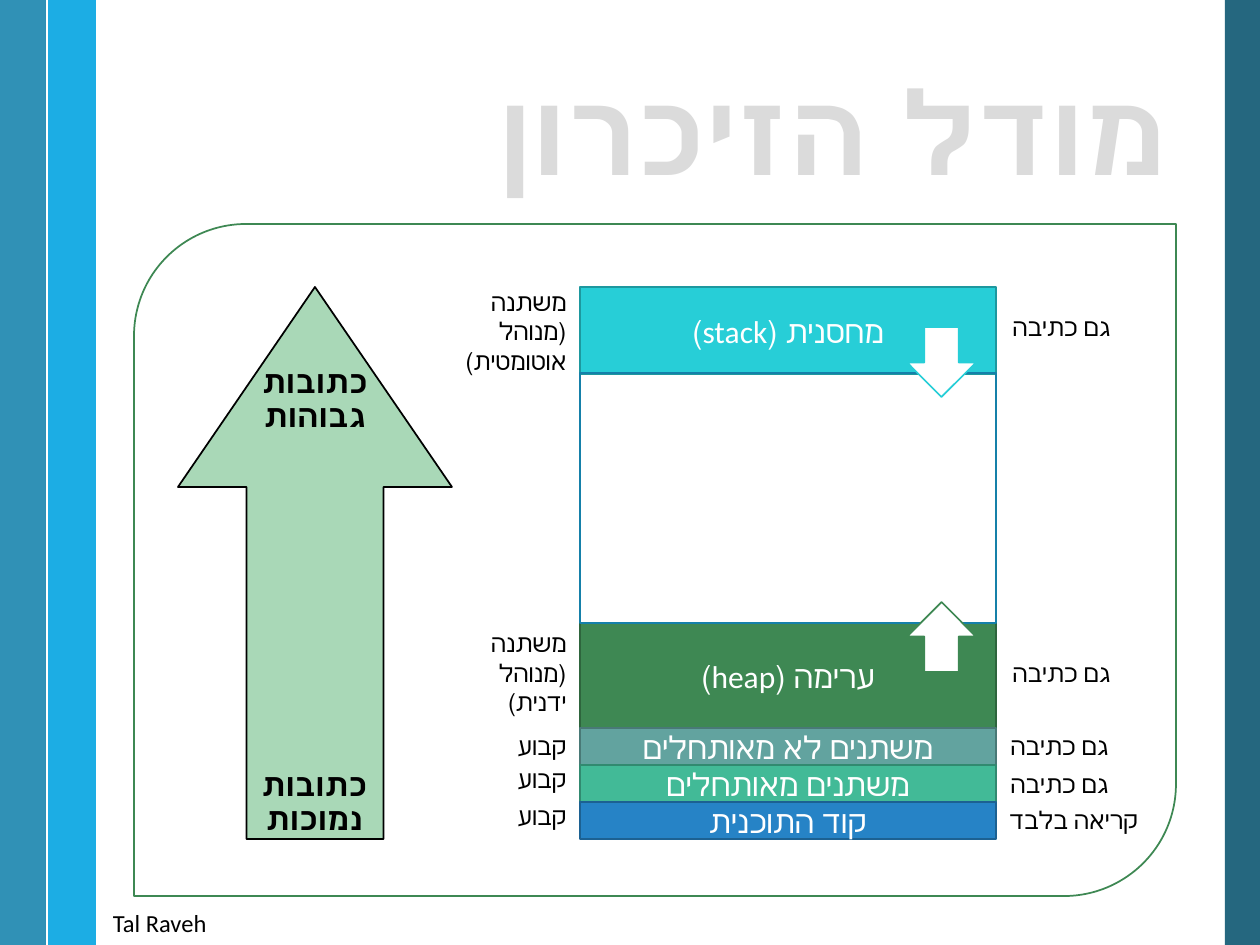
from lxml.etree import SubElement
from pptx import Presentation
from pptx.dml.color import RGBColor
from pptx.enum.shapes import MSO_CONNECTOR, MSO_SHAPE
from pptx.enum.text import MSO_ANCHOR, MSO_AUTO_SIZE, PP_ALIGN
from pptx.oxml.ns import qn
from pptx.util import Emu, Pt

SCALE = 914400 / 126
COLORS = {
    "white": "FFFFFF", "black": "000000", "title": "DBDBDB",
    "right_bar": "0E5772", "bright_bar": "1CADE4", "left_bar": "1482AC",
    "green": "3E8853", "green_edge": "2E653D", "pale_green": "A9D8B7",
    "cyan": "27CED7", "cyan_edge": "1D989F", "gray_teal": "62A39F",
    "gray_teal_edge": "497976", "mint": "42BA97", "mint_edge": "318A70",
    "blue": "2683C6", "blue_edge": "1C6192", "free_edge": "1580A9",
}


def add_block(shapes, kind, box, fill=None, edge=None):
    block = shapes.add_shape(kind, *[Emu(round(v * SCALE)) for v in box])
    block.shadow.inherit = False
    if fill:
        block.fill.solid()
        block.fill.fore_color.rgb = RGBColor.from_string(COLORS[fill])
    else:
        block.fill.background()
    if edge:
        block.line.color.rgb = RGBColor.from_string(COLORS[edge])
        block.line.width = Pt(1)
    else:
        block.line.fill.background()
    return block


def write(holder, text, size, color, align, anchor=MSO_ANCHOR.MIDDLE, rtl=True, bold=False):
    frame = holder.text_frame
    frame.text = text
    frame.word_wrap = True
    frame.vertical_anchor = anchor
    paragraph = frame.paragraphs[0]
    paragraph.alignment = align
    if rtl:
        paragraph._p.get_or_add_pPr().set("rtl", "1")
    font = paragraph.runs[0].font
    font.name = "Calibri"
    font.size = Pt(size)
    font.bold = bold
    font.color.rgb = RGBColor.from_string(COLORS[color])
    return paragraph


prs = Presentation()
prs.slide_width = Emu(round(1260 * SCALE))
prs.slide_height = Emu(round(945 * SCALE))
slide = prs.slides.add_slide(prs.slide_layouts[5])
shapes = slide.shapes

title = shapes.title
title.left, title.top, title.width, title.height = [
    Emu(round(v * SCALE)) for v in (137, 76, 1042, 136)]
heading = write(title, "מודל הזיכרון", 66, "title", PP_ALIGN.RIGHT, MSO_ANCHOR.TOP, bold=True)
heading.line_spacing = 0.9
title.text_frame.word_wrap = False
title.text_frame.auto_size = MSO_AUTO_SIZE.NONE
title.text_frame.margin_top = title.text_frame.margin_bottom = 0

for left, width, color, opacity in [
    (1225, 35, "right_bar", 90), (46, 50, "bright_bar", 100), (0, 47, "left_bar", 88),
]:
    bar = add_block(shapes, MSO_SHAPE.RECTANGLE, (left, 0, width, 945), color)
    if opacity < 100:
        bar_color = bar.fill._xPr.find(qn("a:solidFill"))[0]
        SubElement(bar_color, qn("a:alpha")).set("val", str(opacity * 1000))

divider = shapes.add_connector(
    MSO_CONNECTOR.STRAIGHT, *[Emu(round(v * SCALE)) for v in (47, 0, 47, 945)])
divider.line.color.rgb = RGBColor.from_string(COLORS["white"])
divider.line.width = Pt(1.5)
SubElement(divider._element.spPr, qn("a:effectLst"))

author = shapes.add_textbox(*[Emu(round(v * SCALE)) for v in (97, 902, 122, 43)])
write(author, "Tal Raveh", 14, "black", PP_ALIGN.RIGHT, MSO_ANCHOR.TOP, rtl=False)
author.text_frame.word_wrap = False

add_block(shapes, MSO_SHAPE.ROUND_2_DIAG_RECTANGLE, (134, 224, 1042, 672), edge="green")

segments = [
    ("מחסנית (stack)", 287, 87, "cyan",
     "משתנה (מנוהל אוטומטית)", 289, 84, "גם כתיבה", 1000, 301, 52),
    ("ערימה (heap)", 623, 105, "green",
     "משתנה (מנוהל ידנית)", 620, 105, "גם כתיבה", 1000, 650, 45),
    ("משתנים לא מאותחלים", 728, 37, "gray_teal",
     "קבוע", 724, 44, "גם כתיבה", 998, 727, 37),
    ("משתנים מאותחלים", 765, 37, "mint",
     "קבוע", 753, 52, "גם כתיבה", 998, 765, 37),
    ("קוד התוכנית", 802, 37, "blue",
     "קבוע", 790, 52, "קריאה בלבד", 997, 801, 37),
]
for (name, top, height, color, lifetime, life_top, life_height,
     access, access_left, access_top, access_height) in segments:
    segment = add_block(
        shapes, MSO_SHAPE.RECTANGLE, (580, top, 416, height), color, color + "_edge")
    write(segment, name, 18, "white", PP_ALIGN.CENTER)
    for note, box, align in [
        (lifetime, (447, life_top, 132, life_height), PP_ALIGN.RIGHT),
        (access, (access_left, access_top, 156, access_height), PP_ALIGN.LEFT),
    ]:
        label = shapes.add_textbox(*[Emu(round(v * SCALE)) for v in box])
        write(label, note, 14, "black", align)

add_block(shapes, MSO_SHAPE.RECTANGLE, (580, 373, 416, 250), edge="free_edge")

for top, edge, rotation in [(327, "cyan", 0), (602, "green", 180)]:
    growth = add_block(shapes, MSO_SHAPE.DOWN_ARROW, (907, top, 69, 70), "white", edge)
    growth.rotation = rotation

addresses = shapes.add_group_shape().shapes
direction = add_block(
    addresses, MSO_SHAPE.UP_ARROW, (178, 287, 274, 552), "pale_green", "black")
direction.adjustments[0] = 0.5
direction.adjustments[1] = 0.73
for text, left, top, width in [
    ("כתובות גבוהות", 228, 360, 174), ("כתובות נמוכות", 223, 763, 183),
]:
    label = addresses.add_textbox(*[Emu(round(v * SCALE)) for v in (left, top, width, 82)])
    paragraph = write(
        label, text, 18, "black", PP_ALIGN.CENTER, MSO_ANCHOR.TOP, rtl=False, bold=True)
    paragraph.line_spacing = 0.9

prs.save("out.pptx")
